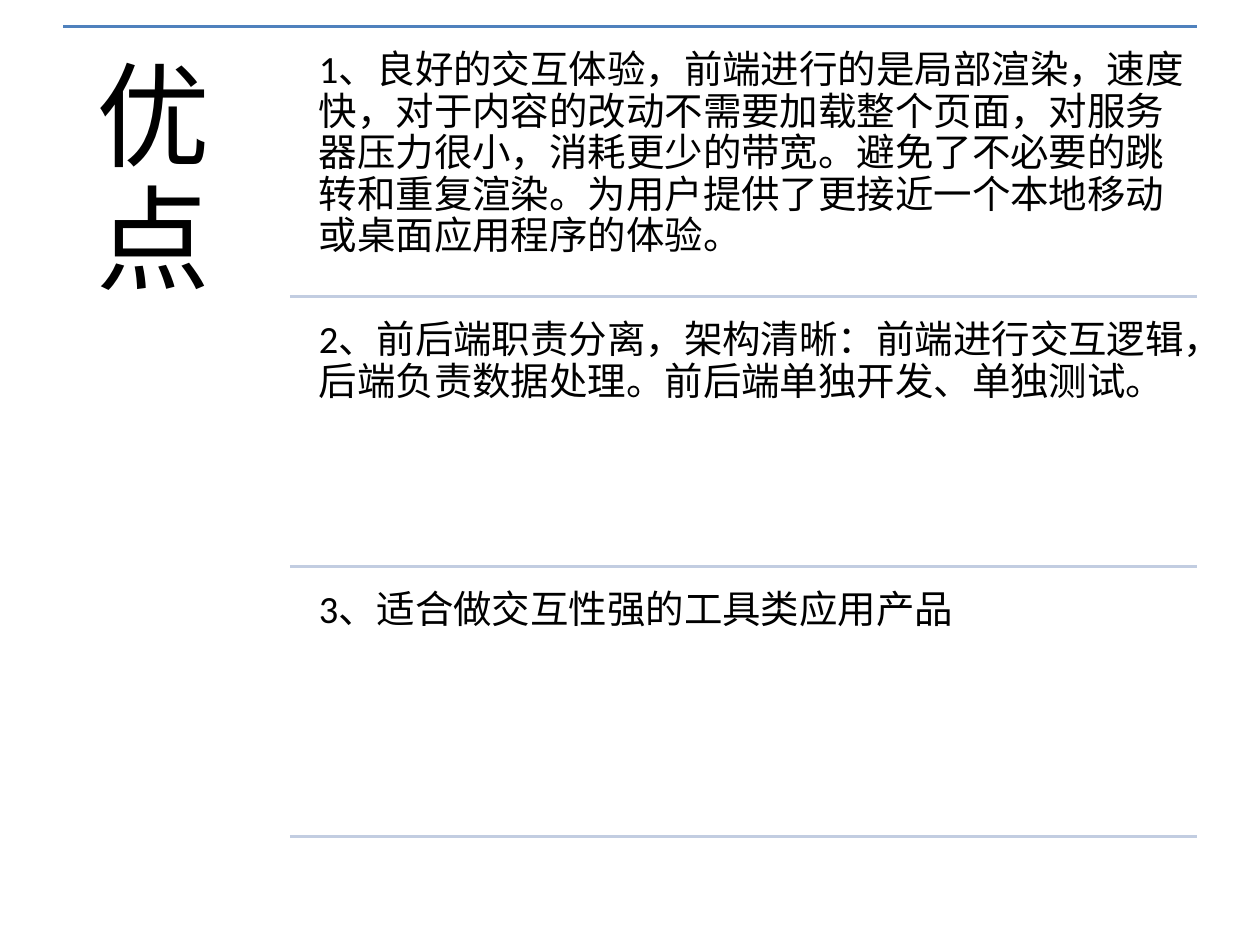
from dataclasses import dataclass

from lxml import etree
from pptx import Presentation
from pptx.dml.color import RGBColor
from pptx.enum.shapes import MSO_CONNECTOR
from pptx.enum.text import MSO_ANCHOR, PP_ALIGN
from pptx.oxml.ns import qn
from pptx.util import Inches, Pt

STRAIGHT = MSO_CONNECTOR.STRAIGHT
TOP = MSO_ANCHOR.TOP
LEFT = PP_ALIGN.LEFT


@dataclass(frozen=True)
class Theme:
    """Colours, font and type sizes of the slide."""
    font: str = "Calibri"
    text: RGBColor = RGBColor(0x00, 0x00, 0x00)
    heading_rule: RGBColor = RGBColor(0x4F, 0x81, 0xBD)
    item_rule: RGBColor = RGBColor(0xC2, 0xCD, 0xE1)
    heading_size: int = 65
    item_size: int = 22
    rule_width: int = 2
    line_spacing: float = 0.9


THEME = Theme()
HEADING = "优点"
ADVANTAGES = [
    "1、良好的交互体验，前端进行的是局部渲染，速度快，对于内容的改动不需要加载整个页面，"
    "对服务器压力很小，消耗更少的带宽。避免了不必要的跳转和重复渲染。"
    "为用户提供了更接近一个本地移动或桌面应用程序的体验。",
    "2、前后端职责分离，架构清晰：前端进行交互逻辑，后端负责数据处理。前后端单独开发、单独测试。",
    "3、适合做交互性强的工具类应用产品",
]
LIST_TOP, LIST_BOTTOM = 0.21, 6.64
RULE_RIGHT = 9.5
ITEM_GAP = 0.1


def add_rule(page, left, top, color):
    """Draw a horizontal rule from left to the common right edge."""
    rule = page.shapes.add_connector(
        STRAIGHT, Inches(left), Inches(top), Inches(RULE_RIGHT), Inches(top))
    rule.line.color.rgb = color
    rule.line.width = Pt(THEME.rule_width)
    etree.SubElement(rule._element.spPr, qn("a:effectLst"))


def add_text(page, left, top, width, height, inset, text, size):
    """Add a wrapped, top-anchored text box with equal insets."""
    box = page.shapes.add_textbox(
        Inches(left), Inches(top), Inches(width), Inches(height))
    frame = box.text_frame
    frame.word_wrap = True
    frame.vertical_anchor = TOP
    frame.margin_left = frame.margin_right = Inches(inset)
    frame.margin_top = frame.margin_bottom = Inches(inset)
    para = frame.paragraphs[0]
    para.alignment = LEFT
    para.line_spacing = THEME.line_spacing
    span = para.add_run()
    span.text = text
    span.font.name = THEME.font
    span.font.size = Pt(size)
    span.font.color.rgb = THEME.text


def add_advantages(page):
    """Stack the advantages at an equal pitch, each closed by a rule."""
    pitch = (LIST_BOTTOM - LIST_TOP) / len(ADVANTAGES)
    for index, advantage in enumerate(ADVANTAGES):
        top = LIST_TOP + index * pitch
        add_text(page, 2.44, top + ITEM_GAP, 7.07, pitch - ITEM_GAP, 0.09,
                 advantage, THEME.item_size)
        add_rule(page, 2.3, top + pitch, THEME.item_rule)


def main():
    """Build the advantages slide and save it."""
    deck = Presentation()
    deck.slide_width, deck.slide_height = Inches(10), Inches(7.5)
    page = deck.slides.add_slide(deck.slide_layouts[6])
    add_rule(page, 0.5, LIST_TOP, THEME.heading_rule)
    add_text(page, 0.5, LIST_TOP, 1.8, 6.54, 0.27, HEADING, THEME.heading_size)
    add_advantages(page)
    deck.save("out.pptx")


if __name__ == "__main__":
    main()
